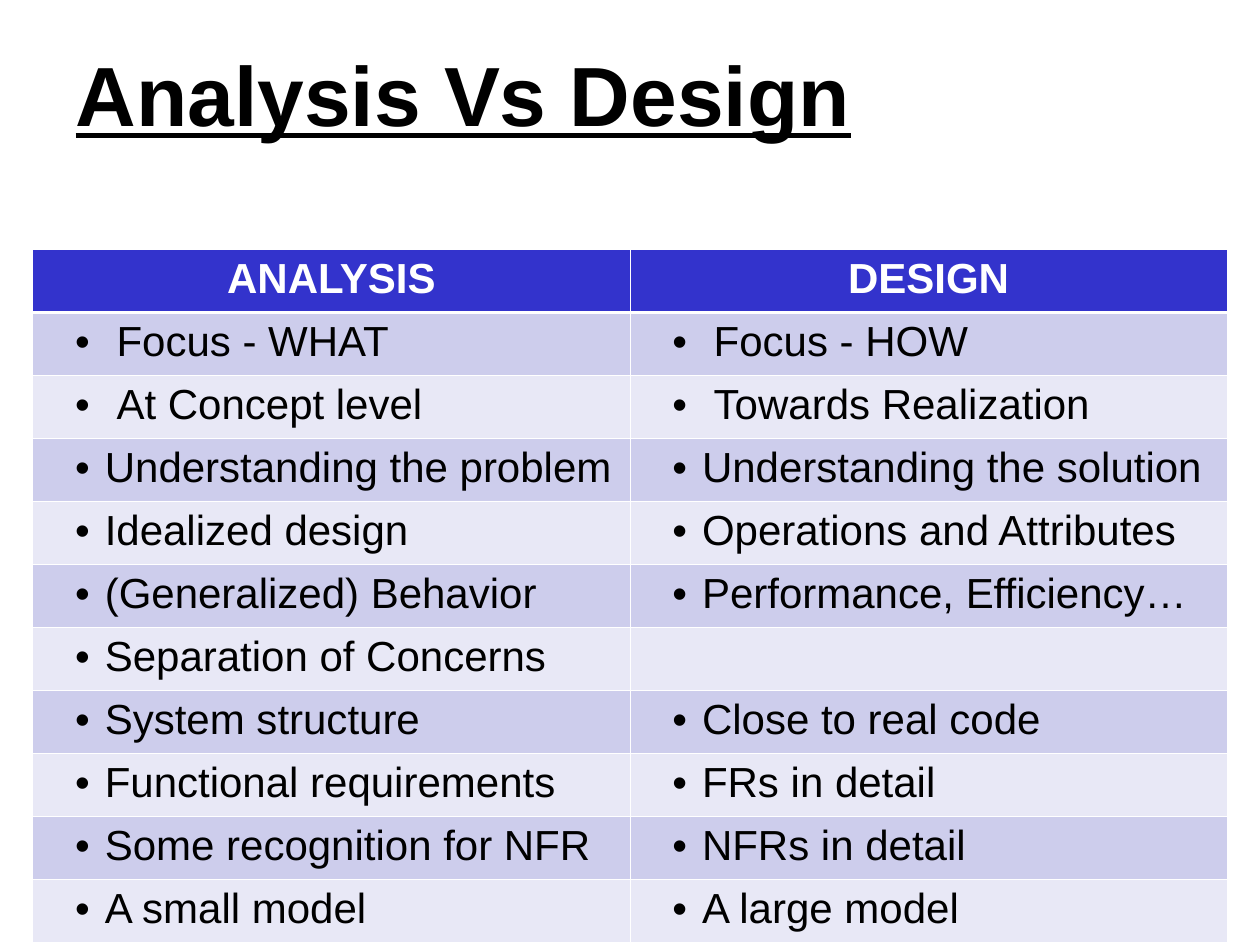
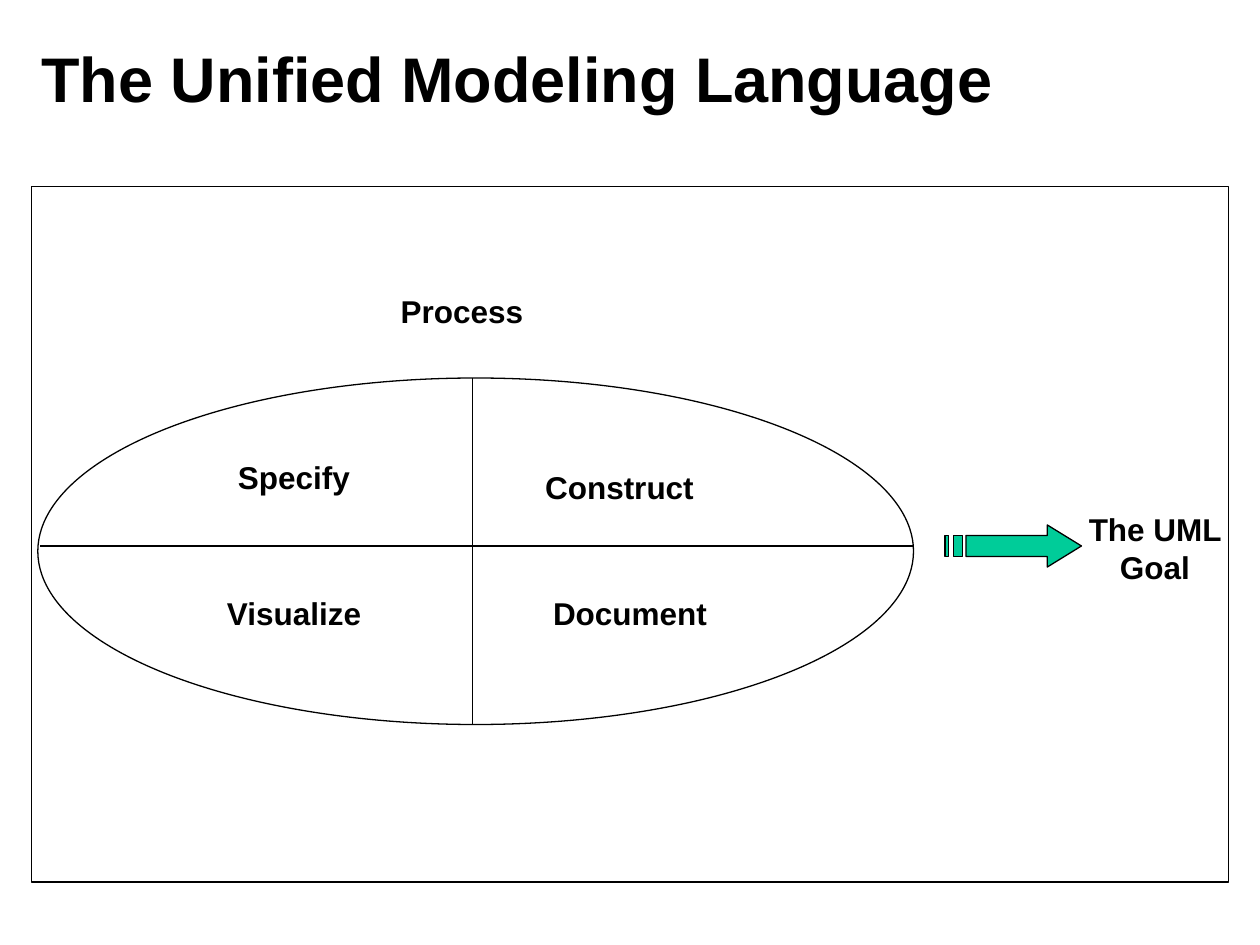
import pptx
import pptx.dml.color
import pptx.enum.shapes
import pptx.enum.text
import pptx.oxml.ns
import pptx.util
from lxml import etree

Pt = pptx.util.Pt
RGBColor = pptx.dml.color.RGBColor
Shape = pptx.enum.shapes.MSO_SHAPE
Align = pptx.enum.text.PP_ALIGN
qn = pptx.oxml.ns.qn

BLACK = RGBColor(0x00, 0x00, 0x00)
WHITE = RGBColor(0xFF, 0xFF, 0xFF)
HEADER = RGBColor(0x33, 0x33, 0xCC)
BANDS = (RGBColor(0xCD, 0xCD, 0xEC), RGBColor(0xE8, 0xE8, 0xF6))
GREEN = RGBColor(0x00, 0xCC, 0x99)
FONT = "Arial"
THIN, THICK = 0.45, 1.47
LINE = 0.75

COMPARISON = [
    ("ANALYSIS", "DESIGN"),
    ("Focus - WHAT", "Focus - HOW"),
    ("At Concept level", "Towards Realization"),
    ("Understanding the problem", "Understanding the solution"),
    ("Idealized design", "Operations and Attributes"),
    ("(Generalized) Behavior", "Performance, Efficiency…"),
    ("Separation of Concerns", ""),
    ("System structure", "Close to real code"),
    ("Functional requirements", "FRs in detail"),
    ("Some recognition for NFR", "NFRs in detail"),
    ("A small model", "A large model"),
]
INDENTED_ROWS = (1, 2)
TABLE_LEFT, TABLE_TOP, COLUMN_WIDTH, ROW_HEIGHT = 18.72, 142.56, 341.28, 36
BULLET_LEFT, TEXT_LEFT, EXTRA_INDENT = 17, 34, 6.67

LABELS = [
    ("Specify", 84, 258, 168, 29),
    ("Visualize", 84, 336, 168, 29),
    ("Construct", 270, 264, 168, 29),
    ("Document", 276, 336, 168, 29),
    ("Process", 180, 163.5, 168, 29),
    ("The UML Goal", 609, 288, 102, 50.5),
]
OUTLINES = [
    (Shape.OVAL, 21.6, 216, 500.4, 198),
    (Shape.RECTANGLE, 18, 106.5, 684, 397.5),
]
DIVIDERS = [(23, 312, 522, 312), (270, 216, 270, 414)]
ARROW_PARTS = [
    [(598.5, 300), (598.5, 306), (552, 306), (552, 318), (598.5, 318), (598.5, 324), (618, 312)],
    [(545, 306), (545, 318), (550, 318), (550, 306)],
    [(540, 306), (540, 318), (542.2, 318), (542.2, 306)],
]


def points(*lengths):
    """Convert numbers to lengths in points."""
    return [Pt(length) for length in lengths]


def write(frame, text, size=18, color=BLACK, bold=True, underline=False,
          align=Align.CENTER, bullet_indent=None):
    """Write one formatted paragraph into a text frame."""
    para = frame.paragraphs[0]
    para.alignment = align
    if bullet_indent is not None:
        properties = para._p.get_or_add_pPr()
        properties.set("marL", str(Pt(bullet_indent)))
        properties.set("indent", str(Pt(BULLET_LEFT - bullet_indent)))
        etree.SubElement(properties, qn("a:buFont"), typeface=FONT)
        etree.SubElement(properties, qn("a:buChar"), char="•")
    span = para.add_run()
    span.text = text
    span.font.name = FONT
    span.font.size = Pt(size)
    span.font.bold = bold
    span.font.underline = underline
    span.font.color.rgb = color


def add_page(deck, title, area, size, underline=False):
    """Add a title-only page with its title placed in an area."""
    page = deck.slides.add_slide(deck.slide_layouts[5])
    box = page.shapes.title
    box.left, box.top, box.width, box.height = points(*area)
    frame = box.text_frame
    frame.auto_size = pptx.enum.text.MSO_AUTO_SIZE.NONE
    frame.vertical_anchor = pptx.enum.text.MSO_ANCHOR.MIDDLE
    write(frame, title, size=size, underline=underline, align=Align.LEFT)
    return page


def set_borders(cell, top, bottom):
    """Give a cell white borders of the stated widths."""
    properties = cell._tc.get_or_add_tcPr()
    for side, width in (("L", THIN), ("R", THIN), ("T", top), ("B", bottom)):
        border = etree.SubElement(properties, qn(f"a:ln{side}"), w=str(Pt(width)))
        fill = etree.SubElement(border, qn("a:solidFill"))
        etree.SubElement(fill, qn("a:srgbClr"), val=str(WHITE))


def add_comparison(page):
    """Add the table that sets analysis against design."""
    count = len(COMPARISON)
    table = page.shapes.add_table(
        count, 2, *points(TABLE_LEFT, TABLE_TOP, 2 * COLUMN_WIDTH, count * ROW_HEIGHT)).table
    for column in table.columns:
        column.width = Pt(COLUMN_WIDTH)
    for index, texts in enumerate(COMPARISON):
        table.rows[index].height = Pt(ROW_HEIGHT)
        indent = TEXT_LEFT + (EXTRA_INDENT if index in INDENTED_ROWS else 0)
        for position, text in enumerate(texts):
            cell = table.cell(index, position)
            set_borders(cell, THICK if index == 1 else THIN, THICK if index == 0 else THIN)
            cell.fill.solid()
            cell.fill.fore_color.rgb = BANDS[(index - 1) % 2] if index else HEADER
            if index == 0:
                write(cell.text_frame, text, size=24, color=WHITE)
            elif text:
                write(cell.text_frame, text, size=24, bold=False,
                      align=Align.LEFT, bullet_indent=indent)


def outline(shape, fill=None):
    """Give a shape a thin black line and an optional fill."""
    shape.shadow.inherit = False
    shape.line.color.rgb = BLACK
    shape.line.width = Pt(LINE)
    if fill is None:
        shape.fill.background()
    else:
        shape.fill.solid()
        shape.fill.fore_color.rgb = fill


def add_divider(page, ends):
    """Add a straight line across the ellipse."""
    divider = page.shapes.add_connector(
        pptx.enum.shapes.MSO_CONNECTOR.STRAIGHT, *points(*ends))
    divider.line.color.rgb = BLACK
    divider.line.width = Pt(LINE)
    etree.SubElement(divider._element.spPr, qn("a:effectLst"))


def add_label(page, text, *area):
    """Add a centred bold label."""
    frame = page.shapes.add_textbox(*points(*area)).text_frame
    frame.word_wrap = True
    write(frame, text)


def add_striped_arrow(page):
    """Add the arrow whose tail is cut into stripes."""
    head, *stripes = [[points(*corner) for corner in part] for part in ARROW_PARTS]
    builder = page.shapes.build_freeform(*head[0])
    builder.add_line_segments(head[1:], close=True)
    for stripe in stripes:
        builder.move_to(*stripe[0])
        builder.add_line_segments(stripe[1:], close=True)
    outline(builder.convert_to_shape(), GREEN)


def main():
    """Build and save the deck."""
    deck = pptx.Presentation()
    deck.slide_width, deck.slide_height = points(720, 540)

    page = add_page(deck, "Analysis Vs Design", (36, 21.6, 648, 62.64), 48, underline=True)
    add_comparison(page)

    page = add_page(deck, "The Unified Modeling Language", (16.5, 10.8, 578, 67), 36)
    for kind, *area in OUTLINES:
        outline(page.shapes.add_shape(kind, *points(*area)))
    for ends in DIVIDERS:
        add_divider(page, ends)
    for label in LABELS:
        add_label(page, *label)
    add_striped_arrow(page)

    deck.save("out.pptx")


if __name__ == "__main__":
    main()
